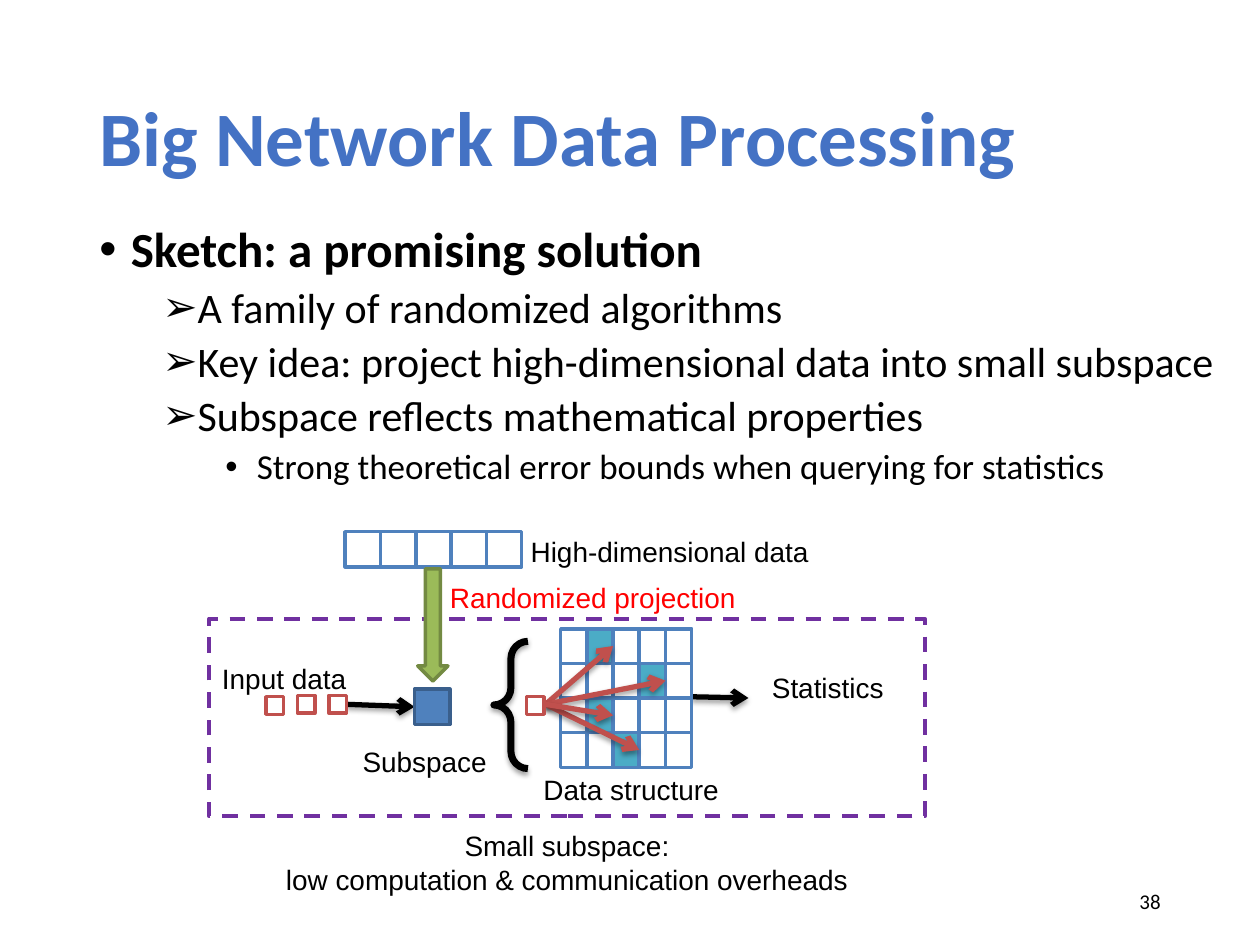
import pptx
import pptx.util
import pptx.dml.color
import pptx.enum.dml
import pptx.enum.shapes
import pptx.enum.text
import pptx.oxml
import pptx.oxml.ns
from lxml import etree

Inches, Pt = pptx.util.Inches, pptx.util.Pt
RGBColor = pptx.dml.color.RGBColor
SHAPE = pptx.enum.shapes.MSO_SHAPE
ALIGN = pptx.enum.text.PP_ALIGN
ANCHOR = pptx.enum.text.MSO_ANCHOR
qn = pptx.oxml.ns.qn

BLACK = RGBColor(0x00, 0x00, 0x00)
WHITE = RGBColor(0xFF, 0xFF, 0xFF)
TITLE_BLUE = RGBColor(0x44, 0x72, 0xC4)
BLUE = RGBColor(0x4F, 0x81, 0xBD)
DARK_BLUE = RGBColor(0x3A, 0x5F, 0x8C)
TEAL = RGBColor(0x4B, 0xAC, 0xC6)
RED = RGBColor(0xFF, 0x00, 0x00)
BRICK = RGBColor(0xC0, 0x50, 0x4D)
PURPLE = RGBColor(0x70, 0x30, 0xA0)
GREEN = RGBColor(0x9B, 0xBB, 0x59)
DARK_GREEN = RGBColor(0x73, 0x8A, 0x42)

TITLE = "Big Network Data Processing"
PAGE_NUMBER = "38"
OUTLINE = [  # level, text
    (0, "Sketch: a promising solution"),
    (1, "A family of randomized algorithms"),
    (1, "Key idea: project high-dimensional data into small subspace"),
    (1, "Subspace reflects mathematical properties"),
    (2, "Strong theoretical error bounds when querying for statistics"),
]
LEVELS = [  # bullet, size, bold, space before
    ("•", 28, True, 10),
    ("➢", 24, False, 5),
    ("•", 20, False, 5),
]
LABELS = [  # lines, left, top, width, height, colour
    (["Randomized projection"], 3.38, 4.56, 2.65, 0.37, RED),
    (["Subspace"], 2.68, 5.86, 1.38, 0.37, BLACK),
    (["High-dimensional data"], 4, 4.19, 2.63, 0.37, BLACK),
    (["Statistics"], 5.8, 5.27, 1.54, 0.37, BLACK),
    (["Input data"], 1.58, 5.2, 1.35, 0.37, BLACK),
    (["Small subspace:", "low computation & communication overheads"],
     1.66, 6.53, 5.68, 0.64, BLACK),
    (["Data structure"], 3.86, 6.08, 2.3, 0.37, BLACK),
]
FLOWS = [((2.75, 5.59), (3.29, 5.61)), ((5.49, 5.53), (5.94, 5.54))]
INPUT_ITEMS = [(2.11, 5.53), (2.36, 5.52), (2.61, 5.52)]
ITEM = 0.14

DIMENSIONS, BLOCK = 5, 0.28
VECTOR_LEFT, VECTOR_TOP = 2.74, 4.22

ROWS, COLUMNS = 4, 5
GRID_LEFT, GRID_TOP = 4.45, 4.99
CELL_W, CELL_H = 1.04 / COLUMNS, 1.1 / ROWS
HASHED_CELLS = [(0, 1), (1, 3), (3, 2), (2, 1)]  # row, column
HASH_ORIGIN = (4.33, 5.59)


def add_text(slide, lines, left, top, width, height, font_name, size, color,
             bold=False, align=ALIGN.LEFT, anchor=ANCHOR.TOP):
    box = slide.shapes.add_textbox(*map(Inches, (left, top, width, height)))
    frame = box.text_frame
    frame.word_wrap = True
    frame.vertical_anchor = anchor
    frame.text = "\n".join(lines)
    for paragraph in frame.paragraphs:
        paragraph.alignment = align
        set_font(paragraph, font_name, size, color, bold)
    return frame


def set_font(paragraph, font_name, size, color, bold):
    font = paragraph.font
    font.name, font.size, font.bold = font_name, Pt(size), bold
    font.color.rgb = color


def add_outline(slide):
    box = slide.shapes.add_textbox(*map(Inches, (0.69, 1.74, 9.06, 4.76)))
    frame = box.text_frame
    frame.word_wrap = True
    for index, (level, text) in enumerate(OUTLINE):
        bullet, size, bold, space_before = LEVELS[level]
        paragraph = frame.add_paragraph() if index else frame.paragraphs[0]
        paragraph.text = text
        paragraph.level = level
        paragraph.line_spacing = 0.9
        if index:
            paragraph.space_before = Pt(space_before)
        properties = paragraph._p.get_or_add_pPr()
        properties.set("marL", str(Inches(0.25 + 0.5 * level)))
        properties.set("indent", str(Inches(-0.25)))
        etree.SubElement(properties, qn("a:buFont"), typeface="Arial")
        etree.SubElement(properties, qn("a:buChar"), char=bullet)
        set_font(paragraph, "Calibri", size, BLACK, bold)


def add_preset(slide, preset, left, top, width, height, fill, line, weight=2):
    shape = slide.shapes.add_shape(
        preset, *map(Inches, (left, top, width, height)))
    shape.shadow.inherit = False
    if fill is None:
        shape.fill.background()
    else:
        shape.fill.solid()
        shape.fill.fore_color.rgb = fill
    shape.line.color.rgb = line
    shape.line.width = Pt(weight)
    return shape


def cast_shadow(effects):
    shadow = etree.SubElement(
        effects, qn("a:outerShdw"), blurRad=str(Pt(3.1)), dist=str(Pt(1.6)),
        dir="5400000", rotWithShape="0")
    color = etree.SubElement(shadow, qn("a:srgbClr"), val=str(BLACK))
    etree.SubElement(color, qn("a:alpha"), val="38000")


def add_arrow(slide, start, end, color):
    arrow = slide.shapes.add_connector(
        pptx.enum.shapes.MSO_CONNECTOR.STRAIGHT, *map(Inches, start + end))
    arrow.line.color.rgb = color
    arrow.line.width = Pt(3)
    etree.SubElement(arrow.line._get_or_add_ln(), qn("a:tailEnd"), type="arrow")
    cast_shadow(etree.SubElement(arrow._element.spPr, qn("a:effectLst")))


def add_data_structure(slide):
    cells = [(row, column) for row in range(ROWS) for column in range(COLUMNS)]
    for row, column in cells:
        fill = TEAL if (row, column) in HASHED_CELLS else WHITE
        add_preset(slide, SHAPE.RECTANGLE, GRID_LEFT + column * CELL_W,
                   GRID_TOP + row * CELL_H, CELL_W, CELL_H, fill, BLUE)
    for row, column in HASHED_CELLS:
        target = (GRID_LEFT + (column + 1) * CELL_W,
                  GRID_TOP + (row + 0.5) * CELL_H)
        add_arrow(slide, HASH_ORIGIN, target, BRICK)
    add_preset(slide, SHAPE.RECTANGLE, 4.18, 5.53, ITEM, ITEM, WHITE, BRICK)
    brace = add_preset(slide, SHAPE.LEFT_BRACE, 3.92, 5.09, 0.27, 1.01,
                       None, BLACK, 4)
    brace.adjustments[0] = 0.51
    cast_shadow(brace._element.spPr.find(qn("a:effectLst")))


def add_diagram(slide):
    for lines, left, top, width, height, color in LABELS:
        frame = add_text(slide, lines, left, top, width, height, "Arial", 16,
                         color, align=ALIGN.CENTER)
        frame.auto_size = pptx.enum.text.MSO_AUTO_SIZE.SHAPE_TO_FIT_TEXT
    for start, end in FLOWS:
        add_arrow(slide, start, end, BLACK)
    for left, top in INPUT_ITEMS:
        add_preset(slide, SHAPE.RECTANGLE, left, top, ITEM, ITEM, WHITE, BRICK)
    border = add_preset(slide, SHAPE.RECTANGLE, 1.66, 4.91, 5.68, 1.57,
                        None, PURPLE, 2.25)
    border.line.dash_style = pptx.enum.dml.MSO_LINE.DASH
    add_data_structure(slide)
    add_preset(slide, SHAPE.RECTANGLE, 3.29, 5.47, BLOCK, BLOCK, BLUE, DARK_BLUE)
    for index in range(DIMENSIONS):
        add_preset(slide, SHAPE.RECTANGLE, VECTOR_LEFT + index * BLOCK,
                   VECTOR_TOP, BLOCK, BLOCK, WHITE, BLUE)
    projection = add_preset(slide, SHAPE.RIGHT_ARROW, 2.99, 4.84, 0.89, 0.24,
                            GREEN, DARK_GREEN)
    projection.rotation = 90


def main():
    deck = pptx.Presentation()
    deck.slide_width, deck.slide_height = Inches(10), Inches(7.5)
    slide = deck.slides.add_slide(deck.slide_layouts[6])
    title = add_text(slide, [TITLE], 0.69, 0.4, 8.62, 1.45, "Calibri", 44,
                     TITLE_BLUE, bold=True, anchor=ANCHOR.MIDDLE)
    title.paragraphs[0].line_spacing = 0.9
    add_outline(slide)
    add_text(slide, [PAGE_NUMBER], 7.06, 6.95, 2.25, 0.4, "Calibri", 12, BLACK,
             align=ALIGN.RIGHT, anchor=ANCHOR.MIDDLE)
    add_diagram(slide)
    deck.save("out.pptx")


if __name__ == "__main__":
    main()
